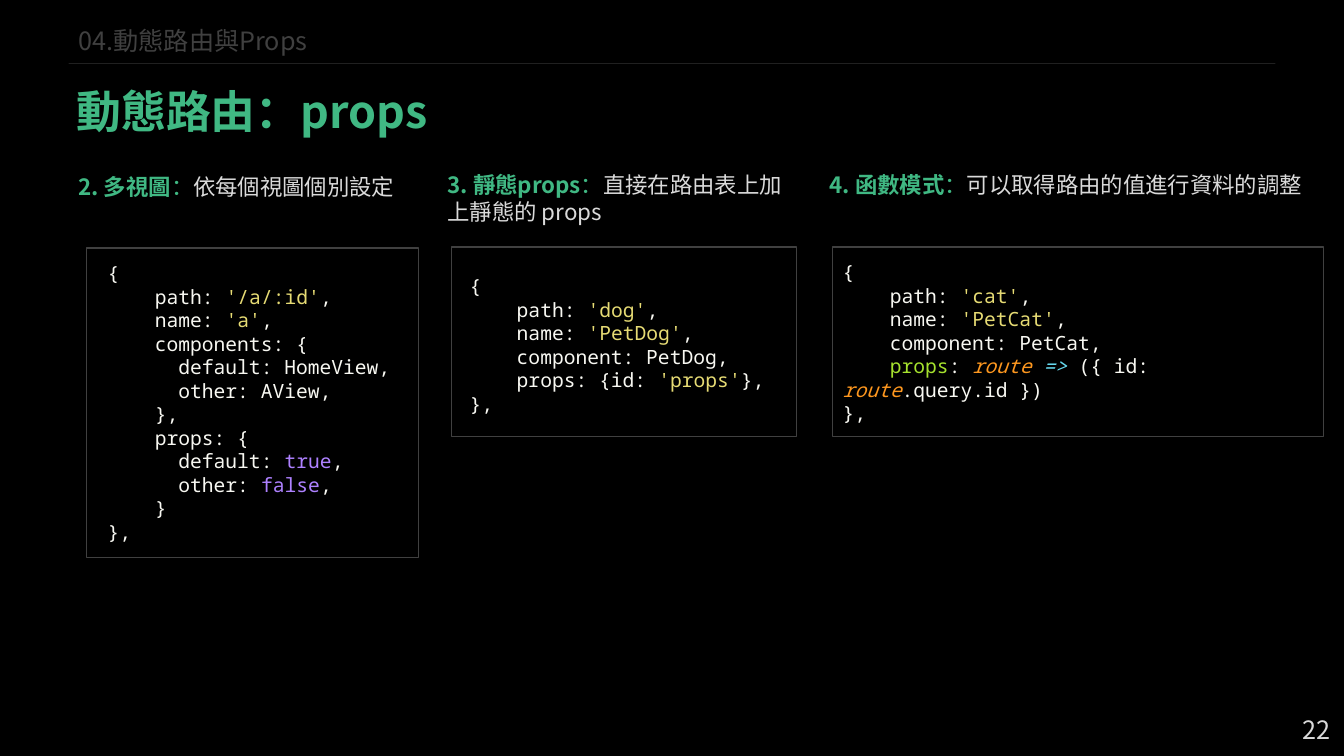
from lxml import etree
from pptx import Presentation
from pptx import util as u
from pptx.dml import color
from pptx.enum import shapes, text
from pptx.oxml import ns

SANS_TC, SANS_SC, MONO = "Noto Sans CJK TC", "Noto Sans CJK SC", "Noto Sans Mono"
GREEN, GREY, PALE = "40B883", "404040", "DADADA"
PLAIN, STRING, BOOLEAN = "F8F8F2", "E6DB74", "AE81FF"
KEYWORD, ARGUMENT, ARROW = "A6E22E", "FD971F", "66D9EF"
ITALIC_COLOURS = (ARGUMENT, ARROW)

OPTIONS = [
    {
        "heading": ("2. 多視圖", "依每個視圖個別設定"),
        "heading_box": (0.68, 1.67, 3.57, 0.37),
        "panel_box": (0.86, 2.46, 3.29, 3.07),
        "code_offset": (0.11, 0.08),
        "code": [
            ["{"],
            ["    path: ", ("'/a/:id'", STRING), ","],
            ["    name: ", ("'a'", STRING), ","],
            ["    components: {"],
            ["      default: HomeView,"],
            ["      other: AView,"],
            ["    },"],
            ["    props: {"],
            ["      default: ", ("true", BOOLEAN), ","],
            ["      other: ", ("false", BOOLEAN), ","],
            ["    }"],
            ["},"],
        ],
    },
    {
        "heading": ("3. 靜態props", "直接在路由表上加上靜態的 props"),
        "heading_box": (4.34, 1.65, 3.56, 0.64),
        "panel_box": (4.48, 2.45, 3.42, 1.88),
        "code_offset": (0.08, 0.22),
        "code": [
            ["{"],
            ["    path: ", ("'dog'", STRING), ","],
            ["    name: ", ("'PetDog'", STRING), ","],
            ["    component: PetDog,"],
            ["    props: {id: ", ("'props'", STRING), "},"],
            ["},"],
        ],
    },
    {
        "heading": ("4. 函數模式", "可以取得路由的值進行資料的調整"),
        "heading_box": (8.13, 1.65, 4.91, 0.64),
        "panel_box": (8.26, 2.45, 4.87, 1.88),
        "code_offset": (0, 0.08),
        "code": [
            ["{"],
            ["    path: ", ("'cat'", STRING), ","],
            ["    name: ", ("'PetCat'", STRING), ","],
            ["    component: PetCat,"],
            ["    ", ("props", KEYWORD), ": ", ("route ", ARGUMENT), ("=>", ARROW),
             " ({ id: ", ("route", ARGUMENT), ".query.id })"],
            ["},"],
        ],
    },
]


def rgb(value):
    """Turn a hex string into a colour."""
    return color.RGBColor.from_string(value)


def add_text(slide, box, lines, font, size, spacing=None):
    """Place lines of (text, colour, bold) runs in the given box."""
    frame = slide.shapes.add_textbox(*map(u.Inches, box)).text_frame
    frame.word_wrap = True
    frame.auto_size = text.MSO_AUTO_SIZE.SHAPE_TO_FIT_TEXT
    for index, line in enumerate(lines):
        paragraph = frame.add_paragraph() if index else frame.paragraphs[0]
        if spacing:
            paragraph.line_spacing = spacing
        for words, colour, bold in line:
            run = paragraph.add_run()
            run.text = words
            run.font.size = u.Pt(size)
            run.font.name = font
            run.font.bold = bold
            run.font.italic = colour in ITALIC_COLOURS
            run.font.color.rgb = rgb(colour)
            east_asian = etree.SubElement(run.font._element, ns.qn("a:ea"))
            east_asian.set("typeface", font)


def add_header(slide, left, top, width):
    """Place the chapter name with its thin rule below."""
    add_text(slide, (left, top, 2.79, 0.38), [[("04.動態路由與Props", GREY, False)]],
             SANS_TC, 18, u.Pt(20))
    rule_y = u.Inches(top + 0.41)
    rule = slide.shapes.add_connector(shapes.MSO_CONNECTOR.STRAIGHT, u.Inches(left), rule_y,
                                      u.Inches(left + width), rule_y)
    rule.line.width = u.Pt(0.5)
    rule.line.color.rgb = rgb(GREY)
    shade = rule.line._ln.find(".//" + ns.qn("a:srgbClr"))
    etree.SubElement(shade, ns.qn("a:alpha")).set("val", "50000")
    etree.SubElement(rule._element.spPr, ns.qn("a:effectLst"))


def add_option(slide, heading, heading_box, panel_box, code_offset, code):
    """Place one props option: its heading and its framed code."""
    label, explanation = heading
    add_text(slide, heading_box,
             [[(label, GREEN, True), ("：", GREEN, False), (explanation, PALE, False)]],
             SANS_SC, 16)
    panel = slide.shapes.add_shape(shapes.MSO_SHAPE.RECTANGLE, *map(u.Inches, panel_box))
    panel.shadow.inherit = False
    panel.fill.background()
    panel.line.color.rgb = rgb(GREY)
    panel.line.width = u.Pt(1)
    left, top, width, height = panel_box
    dx, dy = code_offset
    lines = [[(token, PLAIN, False) if isinstance(token, str) else (*token, False)
              for token in line] for line in code]
    add_text(slide, (left + dx, top + dy, width - dx, height - 2 * dy), lines, MONO, 14)


def build_props_slide(deck):
    """Build the slide about props in dynamic routes."""
    slide = deck.slides.add_slide(deck.slide_layouts[6])
    slide.background.fill.solid()
    slide.background.fill.fore_color.rgb = rgb("000000")
    add_text(slide, (12.82, 7.04, 0.51, 0.4), [[("22", "D9D9D9", False)]], SANS_SC, 18)
    add_header(slide, 0.68, 0.22, 11.97)
    add_text(slide, (0.66, 0.51, 10.68, 0.81), [[("動態路由：props", GREEN, True)]],
             SANS_TC, 32, 1.5)
    for option in OPTIONS:
        add_option(slide, **option)


def main():
    """Create and save the deck."""
    deck = Presentation()
    deck.slide_width, deck.slide_height = u.Inches(13.33), u.Inches(7.5)
    build_props_slide(deck)
    deck.save("out.pptx")


if __name__ == "__main__":
    main()
